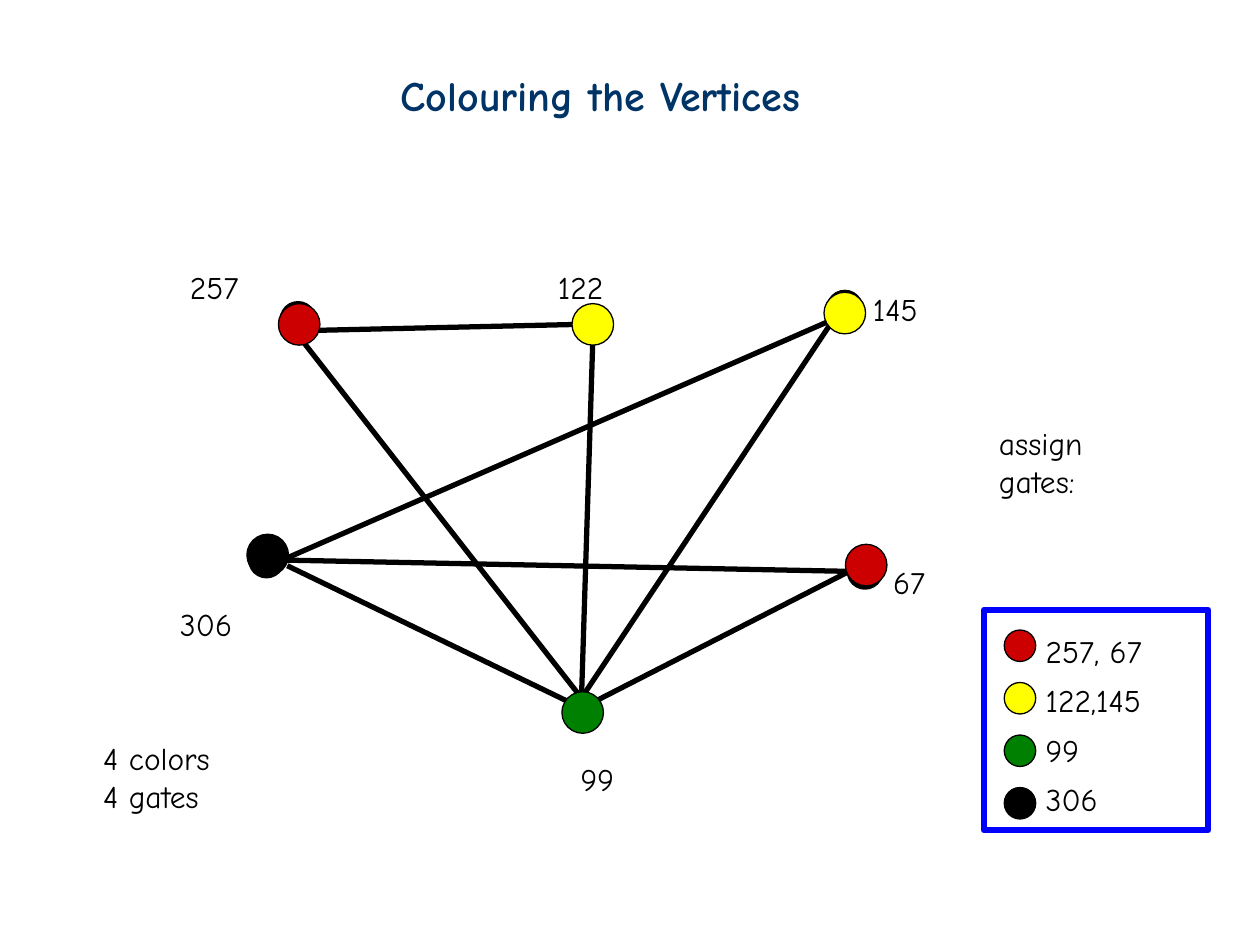
from math import sqrt

from pptx import Presentation
from pptx.dml.color import RGBColor
from pptx.enum.shapes import MSO_CONNECTOR, MSO_SHAPE
from pptx.enum.text import MSO_AUTO_SIZE
from pptx.oxml.ns import qn
from pptx.util import Inches, Pt

BLACK = RGBColor(0, 0, 0)
RED = RGBColor(0xCC, 0, 0)
YELLOW = RGBColor(0xFF, 0xFF, 0)
GREEN = RGBColor(0, 0x80, 0)
DOT_BLUE = RGBColor(0, 0x66, 0xFF)
FRAME_BLUE = RGBColor(0, 0, 0xFF)
TITLE_NAVY = RGBColor(0, 0x33, 0x66)

BODY_FORMAT = {"name": "Comic Neue", "size": Pt(18)}
TITLE_FORMAT = {"name": "Comic Neue", "size": Pt(24), "bold": True}

DOT, MARKER = 0.25, 0.33

# flight: (inner dot corner, coloured marker corner, colour, label box)
FLIGHTS = {
    "257": ((2.24, 2.41), (2.21, 2.41), RED, (1.41, 2.08, 0.66, 0.4)),
    "67": ((6.74, 4.41), (6.71, 4.32), RED, (6.99, 4.42, 0.51, 0.4)),
    "122": ((4.58, 2.45), (4.54, 2.41), YELLOW, (4.33, 2.08, 0.62, 0.4)),
    "145": ((6.58, 2.32), (6.54, 2.32), YELLOW, (6.83, 2.25, 0.62, 0.4)),
    "306": ((1.99, 4.32), (1.96, 4.24), BLACK, (1.33, 4.75, 0.66, 0.4)),
    "99": ((4.49, 5.54), (4.46, 5.49), GREEN, (4.51, 5.98, 0.51, 0.4)),
}

# Points on the rim of a dot, in radii from its centre
DIAGONAL = 1 / sqrt(2)
TOP, BOTTOM, LEFT, RIGHT = (0, -1), (0, 1), (-1, 0), (1, 0)
TOP_LEFT, TOP_RIGHT = (-DIAGONAL, -DIAGONAL), (DIAGONAL, -DIAGONAL)
BOTTOM_LEFT, BOTTOM_RIGHT = (-DIAGONAL, DIAGONAL), (DIAGONAL, DIAGONAL)
OUTSIDE_RIGHT = (1.32, 0.36)

CONFLICTS = [
    ("306", RIGHT, "145", BOTTOM_LEFT),
    ("306", RIGHT, "67", LEFT),
    ("257", BOTTOM_RIGHT, "122", LEFT),
    ("257", BOTTOM, "99", TOP),
    ("99", TOP, "122", BOTTOM),
    ("99", TOP, "145", BOTTOM_LEFT),
    ("99", TOP_RIGHT, "67", LEFT),
    ("306", OUTSIDE_RIGHT, "99", TOP_LEFT),
]

GATES = [(RED, "257, 67"), (YELLOW, "122,145"), (GREEN, "99"), (BLACK, "306")]


def add_text(slide, box, lines, font_format=BODY_FORMAT, color=BLACK,
             wrap=False, later_spacing=None):
    """Add one paragraph per line; later_spacing applies after the first."""
    frame = slide.shapes.add_textbox(*map(Inches, box)).text_frame
    frame.word_wrap = wrap
    frame.auto_size = MSO_AUTO_SIZE.SHAPE_TO_FIT_TEXT
    for index, line in enumerate(lines):
        paragraph = frame.add_paragraph() if index else frame.paragraphs[0]
        if index and later_spacing:
            paragraph.line_spacing = later_spacing
        paragraph.text = line
        for attribute, value in font_format.items():
            setattr(paragraph.font, attribute, value)
        paragraph.font.color.rgb = color


def add_outlined(slide, preset, box, fill, line_color, line_width):
    outlined = slide.shapes.add_shape(preset, *map(Inches, box))
    outlined.shadow.inherit = False
    if fill is None:
        outlined.fill.background()
    else:
        outlined.fill.solid()
        outlined.fill.fore_color.rgb = fill
    outlined.line.color.rgb = line_color
    outlined.line.width = Pt(line_width)


def add_circle(slide, corner, diameter, fill, line_width=0.75):
    add_outlined(slide, MSO_SHAPE.OVAL, (*corner, diameter, diameter),
                 fill, BLACK, line_width)


def rim_point(flight, direction):
    corner = FLIGHTS[flight][0]
    return [Inches(start + DOT / 2 * (1 + offset))
            for start, offset in zip(corner, direction)]


def add_conflict(slide, first, first_side, second, second_side):
    edge = slide.shapes.add_connector(
        MSO_CONNECTOR.STRAIGHT,
        *rim_point(first, first_side), *rim_point(second, second_side))
    edge.line.color.rgb = BLACK
    edge.line.width = Pt(3)
    properties = edge._element.spPr
    properties.append(properties.makeelement(qn("a:effectLst"), {}))


def add_gate_legend(slide):
    for row, (color, _) in enumerate(GATES):
        add_circle(slide, (7.97, 5 + row * 1.25 / 3), DOT, color)
    add_text(slide, (8.2, 4.97, 1.11, 1.57),
             [flights for _, flights in GATES], later_spacing=1.3)
    add_outlined(slide, MSO_SHAPE.RECTANGLE, (7.81, 4.84, 1.78, 1.75),
                 None, FRAME_BLUE, 3.5)


def add_conflict_graph(slide):
    for flight, (_, _, _, label_box) in FLIGHTS.items():
        add_text(slide, label_box, [flight])
    for dot_corner, _, _, _ in FLIGHTS.values():
        add_circle(slide, dot_corner, DOT, DOT_BLUE, 3)
    for conflict in CONFLICTS:
        add_conflict(slide, *conflict)
    for _, marker_corner, color, _ in FLIGHTS.values():
        add_circle(slide, marker_corner, MARKER, color)


def main():
    presentation = Presentation()
    presentation.slide_width = Inches(10)
    presentation.slide_height = Inches(7.5)
    slide = presentation.slides.add_slide(presentation.slide_layouts[6])

    add_gate_legend(slide)
    add_text(slide, (0.72, 5.82, 1.13, 0.7), ["4 colors", "4 gates"])
    add_text(slide, (7.83, 3.32, 1.72, 0.7), ["assign", "gates:"], wrap=True)
    add_conflict_graph(slide)
    add_text(slide, (3.08, 0.5, 3.79, 0.5), ["Colouring the Vertices"],
             TITLE_FORMAT, TITLE_NAVY)

    presentation.save("out.pptx")


if __name__ == "__main__":
    main()
